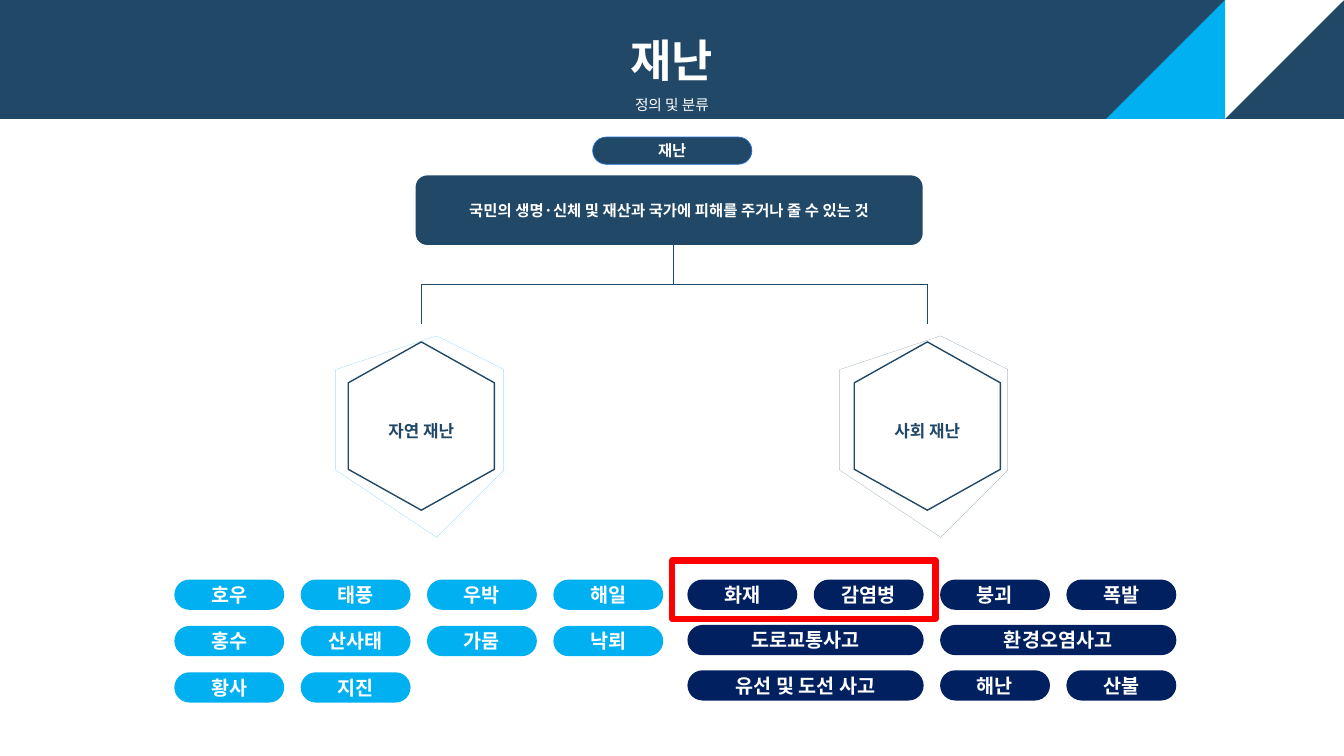
from lxml.etree import SubElement
from pptx import Presentation
from pptx.dml.color import RGBColor
from pptx.enum.shapes import MSO_CONNECTOR, MSO_SHAPE as Preset
from pptx.enum.text import MSO_ANCHOR as Anchor, PP_ALIGN as Align
from pptx.oxml.ns import qn
from pptx.util import Inches, Pt

FONT = "Noto Sans CJK KR"
NAVY, SKY, DEEP, WHITE, RED = "214867", "00B0F0", "002060", "FFFFFF", "FF0000"
COLUMNS, ROWS = 40, 22.5
PILL_WIDTH, PILL_HEIGHT, PILL_STEP, PILL_TOP = 3.27, 0.9, 3.76, 17.25
HALF_RING = [(0, -3.02), (2.64, -1.54), (2.64, 1.55), (2.46, 1.65), (2.46, -1.45),
             (0, -2.84), (-2.46, -1.45), (-2.46, 1.65), (-2.64, 1.55), (-2.64, -1.54)]
BRANCHES = [("자연 재난", 12.54, SKY), ("사회 재난", 27.6, NAVY)]
RING_MIDDLE = 12.68
NATURAL = [[("호우", 1), ("태풍", 1), ("우박", 1), ("해일", 1)],
           [("홍수", 1), ("산사태", 1), ("가뭄", 1), ("낙뢰", 1)],
           [("황사", 1), ("지진", 1)]]
SOCIAL = [[("화재", 1), ("감염병", 1), ("붕괴", 1), ("폭발", 1)],
          [("도로교통사고", 2), ("환경오염사고", 2)],
          [("유선 및 도선 사고", 2), ("해난", 1), ("산불", 1)]]


def rgb(code):
    """Turn a hex string into a colour."""
    return RGBColor.from_string(code)


class DisasterSlide:
    """Draws on one slide with lengths in grid columns and rows."""

    def __init__(self, deck):
        """Add a title-only slide and measure its grid."""
        self.slide = deck.slides.add_slide(deck.slide_layouts[5])
        self.shapes = self.slide.shapes
        self.column = deck.slide_width / COLUMNS
        self.row = deck.slide_height / ROWS

    def place(self, x, y, width, height):
        """Convert a grid box to slide lengths."""
        return [round(n * cell) for n, cell in
                zip((x, y, width, height), (self.column, self.row) * 2)]

    def paint(self, shape, fill=None, line=None, weight=1):
        """Set the fill and outline of a shape."""
        shape.shadow.inherit = False
        if fill:
            shape.fill.solid()
            shape.fill.fore_color.rgb = rgb(fill)
        else:
            shape.fill.background()
        if line:
            shape.line.color.rgb = rgb(line)
            shape.line.width = Pt(weight)
        else:
            shape.line.fill.background()

    def label(self, shape, lines, color=WHITE, spacing=None, anchor=Anchor.MIDDLE):
        """Fill a shape with centred paragraphs of (text, size, bold)."""
        frame = shape.text_frame
        frame.word_wrap, frame.vertical_anchor = True, anchor
        for index, (text, size, bold) in enumerate(lines):
            paragraph = frame.add_paragraph() if index else frame.paragraphs[0]
            paragraph.alignment, paragraph.line_spacing = Align.CENTER, spacing
            run = paragraph.add_run()
            run.text = text
            for key, value in {"name": FONT, "size": Pt(size), "bold": bold}.items():
                setattr(run.font, key, value)
            run.font.color.rgb = rgb(color)
            SubElement(run.font._element, qn("a:ea"), typeface=FONT)

    def header(self, title, subtitle, height):
        """Turn the title placeholder into the top band with its corner."""
        band = self.shapes.title
        box = self.place(0, 0, COLUMNS, height)
        for key, value in zip(("left", "top", "width", "height"), box):
            setattr(band, key, value)
        self.paint(band, NAVY)
        self.label(band, [(title, 32, True), (subtitle, 10.5, False)], spacing=1.5)
        for steps, turn, fill in ((1, 90, WHITE), (2, 270, SKY)):
            self.block(Preset.RIGHT_TRIANGLE, COLUMNS - steps * height, 0,
                       height, height, fill, turn=turn)

    def block(self, preset, x, y, width, height, fill=None, line=None, weight=1,
              turn=0, adjust=None):
        """Add a preset shape."""
        shape = self.shapes.add_shape(preset, *self.place(x, y, width, height))
        self.paint(shape, fill, line, weight)
        shape.rotation = turn
        if adjust is not None:
            shape.adjustments[0] = adjust
        return shape

    def line(self, x1, y1, x2, y2):
        """Add a thin straight branch line."""
        branch = self.shapes.add_connector(MSO_CONNECTOR.STRAIGHT,
                                           *self.place(x1, y1, x2, y2))
        branch.line.color.rgb = rgb(NAVY)
        branch.line.width = Pt(0.5)
        SubElement(branch._element.spPr, qn("a:effectLst"))

    def hexagon(self, category, center, color):
        """Add a two-part ring around a labelled hexagon."""
        for flip in (1, -1):
            points = [(center + dx, RING_MIDDLE + flip * dy) for dx, dy in HALF_RING]
            outline = self.shapes.build_freeform(*points[0], scale=self.column)
            outline.add_line_segments(points[1:])
            self.paint(outline.convert_to_shape(), color)
        width, height = 5.01, 4.35
        self.block(Preset.HEXAGON, center - width / 2, RING_MIDDLE - height / 2,
                   width, height, WHITE, NAVY, turn=270, adjust=0.28)
        caption = self.shapes.add_textbox(
            *self.place(center - 1.96, RING_MIDDLE - 0.62, 3.92, 1.08))
        self.label(caption, [(category, 12, True)], NAVY, 1.5, Anchor.TOP)

    def pills(self, hazards, left, pitch, fill):
        """Add rows of hazard pills, each spanning whole steps."""
        for level, hazard_row in enumerate(hazards):
            step = 0
            for hazard, span in hazard_row:
                pill = self.block(Preset.ROUNDED_RECTANGLE, left + step * PILL_STEP,
                                  PILL_TOP + level * pitch,
                                  PILL_WIDTH + (span - 1) * PILL_STEP, PILL_HEIGHT,
                                  fill, adjust=0.5)
                self.label(pill, [(hazard, 14, True)])
                step += span


def main():
    """Build and save the disaster classification slide."""
    deck = Presentation()
    deck.slide_width, deck.slide_height = Inches(13.33), Inches(7.5)
    page = DisasterSlide(deck)
    page.header("재난", "정의 및 분류", 3.54)

    topic = page.block(Preset.ROUNDED_RECTANGLE, 17.64, 4.08, 4.74, 0.81,
                       NAVY, "2574DB", 0.5, adjust=0.5)
    page.label(topic, [("재난", 11, True)])
    definition = page.block(Preset.ROUNDED_RECTANGLE, 12.37, 5.22, 15.09, 2.07, NAVY)
    page.label(definition, [("국민의 생명·신체 및 재산과 국가에 피해를 주거나 줄 수 있는 것", 11, True)])

    trunk, fork = 20.05, 8.46
    page.line(trunk, 7.27, trunk, fork)
    for category, center, color in BRANCHES:
        page.line(trunk, fork, center, fork)
        page.line(center, fork, center, 9.64)
        page.hexagon(category, center, color)

    page.pills(NATURAL, 5.19, 1.38, SKY)
    page.pills(SOCIAL, 20.46, 1.35, DEEP)
    page.block(Preset.RECTANGLE, 20.01, 16.68, 7.83, 1.74, line=RED, weight=4.5)
    deck.save("out.pptx")


if __name__ == "__main__":
    main()
